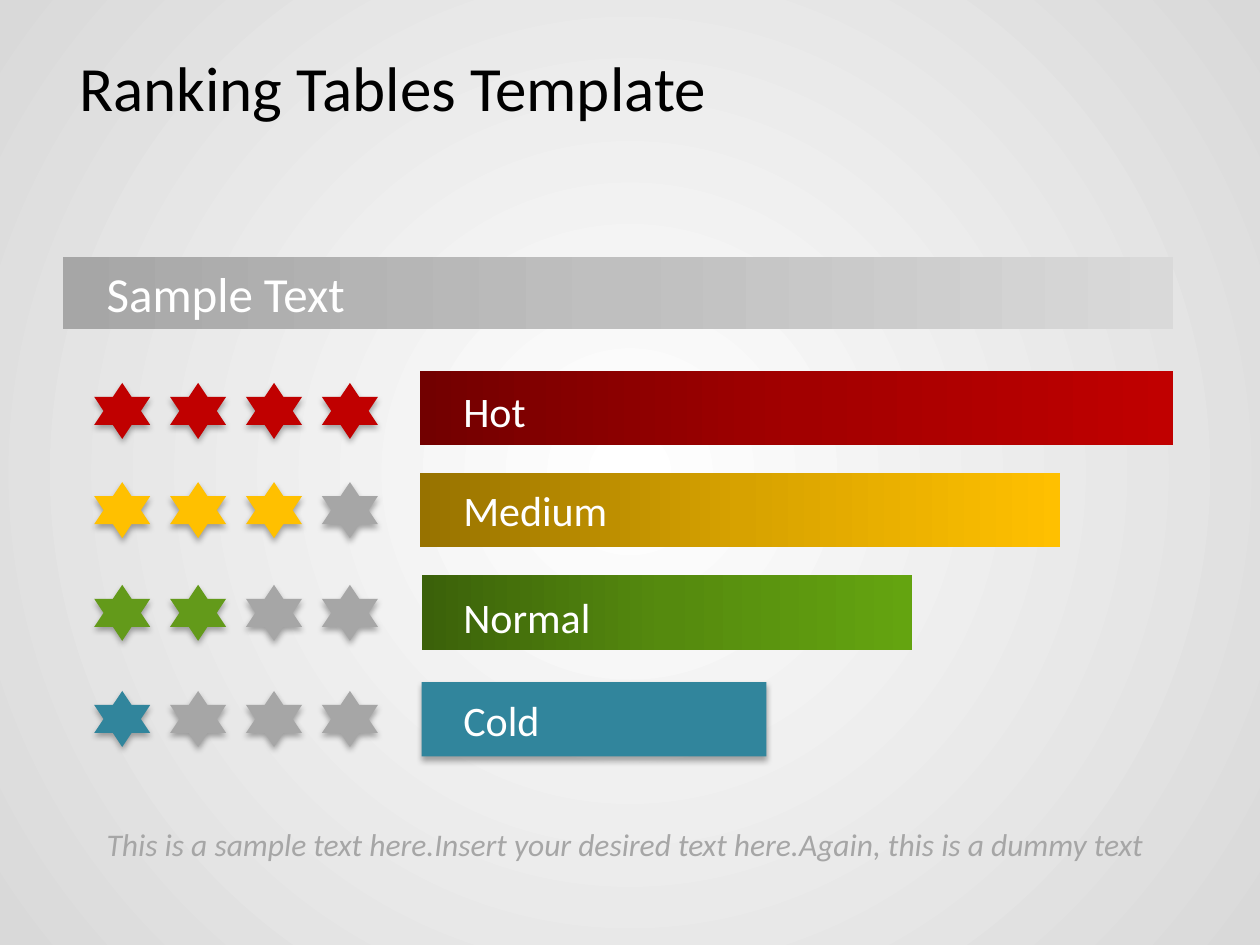
from copy import deepcopy

from lxml import etree
from pptx import Presentation
from pptx.dml.color import RGBColor
from pptx.enum import shapes, text
from pptx.oxml import parse_xml
from pptx.oxml.ns import nsdecls, qn
from pptx.util import Cm, Pt

BLACK = RGBColor(0x00, 0x00, 0x00)
WHITE = RGBColor(0xFF, 0xFF, 0xFF)
PALE = RGBColor(0xD9, 0xD9, 0xD9)
SILVER = RGBColor(0xBF, 0xBF, 0xBF)
GRAY = RGBColor(0xA6, 0xA6, 0xA6)
RED = RGBColor(0xC0, 0x00, 0x00)
RED_MID = RGBColor(0xA2, 0x00, 0x00)
RED_DARK = RGBColor(0x72, 0x00, 0x00)
GOLD = RGBColor(0xFF, 0xC0, 0x00)
GOLD_MID = RGBColor(0xD7, 0xA2, 0x00)
GOLD_DARK = RGBColor(0x97, 0x72, 0x00)
LEAF = RGBColor(0x63, 0x9A, 0x1A)
GREEN = RGBColor(0x64, 0xA4, 0x10)
GREEN_MID = RGBColor(0x55, 0x8A, 0x0E)
GREEN_DARK = RGBColor(0x3B, 0x61, 0x0A)
TEAL = RGBColor(0x31, 0x85, 0x9C)

SHADOW = (
    f'<a:outerShdw {nsdecls("a")} blurRad="44450" dist="27940" dir="5400000" algn="ctr">'
    '<a:srgbClr val="000000"><a:alpha val="32000"/></a:srgbClr></a:outerShdw>'
)

prs = Presentation()
prs.slide_width, prs.slide_height = Cm(25.4), Cm(19.05)
slide = prs.slides.add_slide(prs.slide_layouts[6])


def block(kind, x, y, w, h, tones):
    """Draw a shape in cm: one tone gives a flat fill with shadow, three a gradient."""
    shape = slide.shapes.add_shape(kind, Cm(x), Cm(y), Cm(w), Cm(h))
    shape.line.fill.background()
    shape.shadow.inherit = False
    props = shape._element.spPr
    if len(tones) == 1:
        shape.fill.solid()
        shape.fill.fore_color.rgb = tones[0]
        props.find(qn("a:effectLst")).append(parse_xml(SHADOW))
        return
    shape.fill.gradient()
    shape.fill.gradient_angle = 0
    stops = props.find(".//" + qn("a:gsLst"))
    stops.insert(1, deepcopy(stops[0]))
    for stop, tone, pos in zip(shape.fill.gradient_stops, tones, (0, 0.5, 1)):
        stop.color.rgb = tone
        stop.position = pos


def label(words, x, y, w, h, size, color):
    box = slide.shapes.add_textbox(Cm(x), Cm(y), Cm(w), Cm(h))
    box.text_frame.word_wrap = True
    run = box.text_frame.paragraphs[0].add_run()
    run.text = words
    run.font.name = "Calibri"
    run.font.size = Pt(size)
    run.font.color.rgb = color
    return box.text_frame, run


# Background: white centre fading to grey
fill = slide.background.fill
fill.gradient()
for stop, tone, pos in zip(fill.gradient_stops, (WHITE, PALE), (0, 1)):
    stop.color.rgb = tone
    stop.position = pos
lin = slide.element.find(".//" + qn("a:lin"))
ring = etree.Element(qn("a:path"), {"path": "circle"})
etree.SubElement(ring, qn("a:fillToRect"), {side: "50000" for side in "ltrb"})
lin.getparent().replace(lin, ring)

# Title
frame, run = label("Ranking Tables Template", 1.27, 0.76, 22.86, 1.98, 36, BLACK)
frame.vertical_anchor = text.MSO_ANCHOR.MIDDLE
frame.margin_left = frame.margin_right = Cm(0.33)
frame.margin_top = frame.margin_bottom = Cm(0.18)

# Heading band
RECT, STAR = shapes.MSO_SHAPE.RECTANGLE, shapes.MSO_SHAPE.STAR_6_POINT
block(RECT, 1.27, 5.18, 22.38, 1.45, (GRAY, SILVER, PALE))
label("Sample Text", 1.9, 5.18, 14.17, 1.45, 28, WHITE)

# Ranking rows: name, score, star colour, bar tones, bar x, bar width, tops of bar, stars, text
rows = [
    ("Hot", 4, RED, (RED_DARK, RED_MID, RED), 8.47, 15.18, 7.48, 7.72, 7.65),
    ("Medium", 3, GOLD, (GOLD_DARK, GOLD_MID, GOLD), 8.47, 12.9, 9.53, 9.72, 9.65),
    ("Normal", 2, LEAF, (GREEN_DARK, GREEN_MID, GREEN), 8.5, 9.88, 11.6, 11.79, 11.79),
    ("Cold", 1, TEAL, (TEAL,), 8.5, 6.95, 13.75, 13.93, 13.87),
]
for name, score, hue, tones, x, w, top, star, line in rows:
    for i in range(4):
        block(STAR, 1.9 + 1.53 * i, star, 1.13, 1.13, (hue if i < score else GRAY,))
    block(RECT, x, top, w, 1.5, tones)
    label(name, 9.09, line, 7.42, 1.28, 24, WHITE)

# Footnote
frame, run = label(
    "This is a sample text here.Insert your desired text here.Again, this is a dummy text",
    1.9, 16.5, 21.75, 1.03, 18, GRAY)
run.font.italic = True

prs.save("out.pptx")
